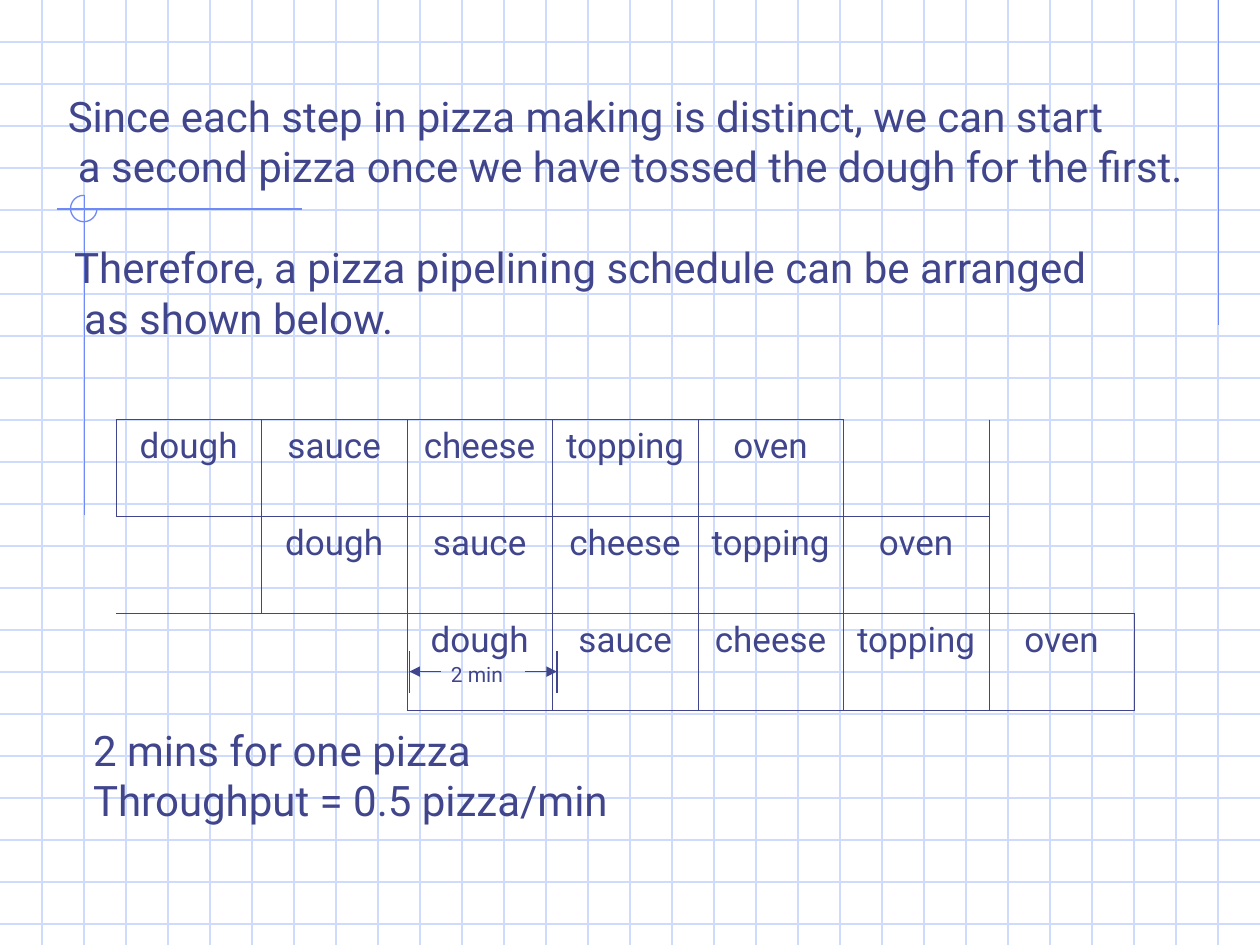
from pptx import Presentation
from pptx.dml.color import RGBColor
from pptx.enum.shapes import MSO_CONNECTOR as Conn, MSO_SHAPE as Shape
from pptx.enum.text import MSO_AUTO_SIZE as Auto, PP_ALIGN as Align
from pptx.oxml.ns import qn
from pptx.oxml.xmlchemy import OxmlElement as Element
from pptx.util import Inches, Pt

W, H, STEP = 10, 7.5, 1 / 3
FONT, INK, GRID, ACCENT = "Roboto", "40458C", "CFDBFD", "6F89F7"
NO_STYLE = "{2D5ABB26-0587-4C30-8999-92F81FD0307C}"

STAGES = ["dough", "sauce", "cheese", "topping", "oven"]
PIZZAS = 3
TABLE_LEFT, TABLE_TOP, COL, ROW = 0.92, 3.33, 1.155, 0.77

TEXTS = [
    (0.44, 0.67, 9.54, 0.9, 24, 0.08,
     ["Since each step in pizza making is distinct, we can start",
      "a second pizza once we have tossed the dough for the first."]),
    (0.49, 1.87, 8.95, 0.9, 24, 0.08,
     ["Therefore, a pizza pipelining schedule can be arranged", "as shown below."]),
    (3.48, 5.2, 0.63, 0.3, 12, 0, ["2 min"]),
    (0.64, 5.7, 4.52, 0.9, 24, 0,
     ["2 mins for one pizza", "Throughput = 0.5 pizza/min"]),
]
ACCENT_LINES = [(9.67, 0, 9.67, 2.58), (2.4, 1.66, 0.45, 1.66), (0.67, 1.55, 0.67, 4.09)]
SPAN_LEFT, SPAN_RIGHT, SPAN_TOP, SPAN_MID, SPAN_BOTTOM, ARROW = 3.25, 4.42, 5.17, 5.33, 5.5, 0.25


def rgb(color):
    """Turn a hex string into a colour."""
    return RGBColor.from_string(color)


def add_line(slide, x1, y1, x2, y2, color, arrow=False):
    """Draw a straight line, optionally with an arrowhead at its end."""
    c = slide.shapes.add_connector(Conn.STRAIGHT, *map(Inches, (x1, y1, x2, y2)))
    c.line.color.rgb = rgb(color)
    c.line.width = Pt(0.75)
    if arrow:
        c.line._get_or_add_ln().append(Element("a:tailEnd"))
        c.line._get_or_add_ln()[-1].set("type", "triangle")
    c._element.spPr.append(Element("a:effectLst"))


def style(p, size):
    """Give the runs of a paragraph the slide's font."""
    for r in p.runs:
        r.font.name, r.font.size = FONT, Pt(size)
        r.font.color.rgb = rgb(INK)


def add_text(slide, x, y, w, h, size, indent, lines):
    """Add an unwrapped text box whose later lines are indented."""
    tf = slide.shapes.add_textbox(*map(Inches, (x, y, w, h))).text_frame
    tf.word_wrap, tf.auto_size = False, Auto.SHAPE_TO_FIT_TEXT
    tf.text = "\n".join(lines)
    for i, p in enumerate(tf.paragraphs):
        if i and indent:
            p._p.get_or_add_pPr().set("marL", str(Inches(indent)))
        style(p, size)


def add_border(cell, side, width):
    """Add one solid border to a table cell."""
    ln = Element(f"a:ln{side}")
    ln.set("w", str(Pt(width)))
    fill, color = Element("a:solidFill"), Element("a:srgbClr")
    color.set("val", INK)
    fill.append(color)
    ln.append(fill)
    cell._tc.get_or_add_tcPr().append(ln)


def add_schedule(slide):
    """Add the pipeline table, each pizza one stage later than the last."""
    cols = len(STAGES) + PIZZAS - 1
    table = slide.shapes.add_table(PIZZAS, cols, *map(
        Inches, (TABLE_LEFT, TABLE_TOP, cols * COL, PIZZAS * ROW))).table
    table.first_row = table.horz_banding = False
    table._tbl.tblPr.find(qn("a:tableStyleId")).text = NO_STYLE
    filled = {(i, i + j): stage for i in range(PIZZAS) for j, stage in enumerate(STAGES)}
    for i in range(PIZZAS):
        for j in range(cols):
            cell = table.cell(i, j)
            neighbours = {"L": (i, j - 1), "R": (i, j + 1), "T": (i - 1, j), "B": (i + 1, j)}
            for side, other in neighbours.items():
                if (i, j) in filled or other in filled:
                    add_border(cell, side, 1.08 if side == "R" and j == cols - 1 else 0.45)
            cell.fill.background()
            if (i, j) in filled:
                cell.text = filled[i, j]
                p = cell.text_frame.paragraphs[0]
                p.alignment = Align.CENTER
                style(p, 20)


def main():
    """Build the slide and save it."""
    prs = Presentation()
    prs.slide_width, prs.slide_height = Inches(W), Inches(H)
    slide = prs.slides.add_slide(prs.slide_layouts[6])
    for n in range(1, 23):
        add_line(slide, 0, n * STEP, W, n * STEP, GRID)
    for n in range(1, 30):
        add_line(slide, n * STEP, 0, n * STEP, H, GRID)
    for ends in ACCENT_LINES:
        add_line(slide, *ends, ACCENT)
    arc = slide.shapes.add_shape(Shape.ARC, *map(Inches, (0.56, 1.55, 0.21, 0.21)))
    arc.adjustments[0], arc.adjustments[1] = 0, 162
    arc.shadow.inherit = False
    arc.fill.background()
    arc.line.color.rgb, arc.line.width = rgb(ACCENT), Pt(0.75)
    add_schedule(slide)
    for x, inward in ((SPAN_LEFT, ARROW), (SPAN_RIGHT, -ARROW)):
        add_line(slide, x, SPAN_TOP, x, SPAN_BOTTOM, INK)
        add_line(slide, x + inward, SPAN_MID, x, SPAN_MID, INK, arrow=True)
    for text in TEXTS:
        add_text(slide, *text)
    prs.save("out.pptx")


if __name__ == "__main__":
    main()
